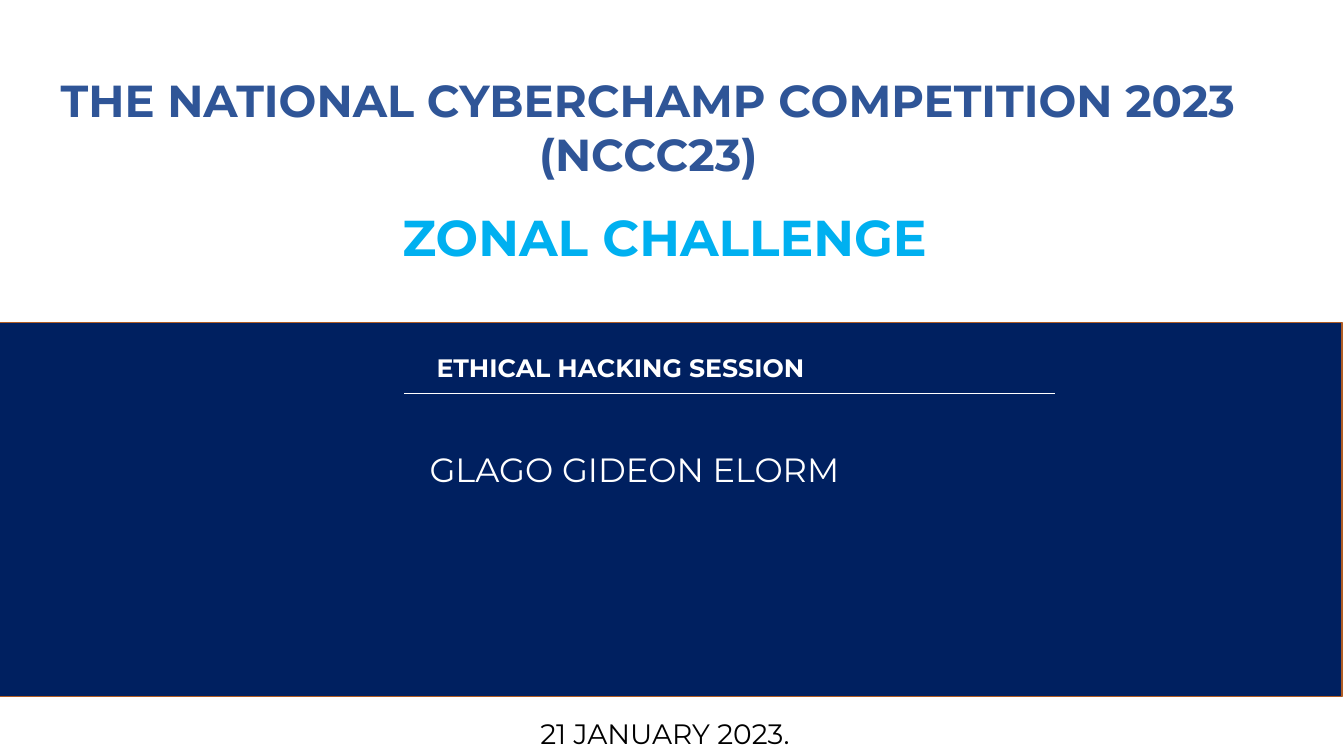
"""Build the title slide of a cyber competition's ethical hacking session."""
from dataclasses import dataclass

from lxml import etree
from pptx import Presentation
from pptx import util as u
from pptx.dml.color import RGBColor
from pptx.enum import shapes, text
from pptx.oxml.ns import qn

WIDTH, HEIGHT = u.Inches(13.33), u.Inches(7.5)
FONT = "Montserrat"
NAVY, BLUE, SKY = "002060", "2F5597", "00B0F0"
WHITE, BLACK, RUST = "FFFFFF", "000000", "AF5C24"


@dataclass(frozen=True)
class Area:
    left: float
    top: float
    width: float
    height: float


@dataclass(frozen=True)
class Label:
    area: Area
    lines: tuple[str, ...]
    size: int
    color: str
    bold: bool = False
    centered: bool = False
    wrap: bool = True
    inset: float = 0.75


BAND = Area(-0.15, 42.67, 100, 49.47)
RULE = Area(30.08, 52, 48.38, 0)
LABELS = (
    Label(Area(29.18, 26.67, 63.38, 9.47), ("ZONAL CHALLENGE",), 36, SKY, bold=True),
    Label(Area(22.13, 58.67, 58.05, 6.67), ("GLAGO GIDEON ELORM",), 24, WHITE, inset=9.83),
    Label(Area(0.68, 8.93, 95.1, 15.73),
          ("THE NATIONAL CYBERCHAMP COMPETITION 2023", "(NCCC23)"),
          32, BLUE, bold=True, centered=True, wrap=False),
    Label(Area(39.45, 94.13, 23.25, 5.87), ("21 JANUARY 2023.",), 20, BLACK, wrap=False),
    Label(Area(31.73, 46, 50.1, 5.33), ("ETHICAL HACKING SESSION",), 18, WHITE, bold=True),
)


def across(share: float) -> int:
    return round(WIDTH * share / 100)


def down(share: float) -> int:
    return round(HEIGHT * share / 100)


def frame_of(area: Area) -> tuple[int, int, int, int]:
    return across(area.left), down(area.top), across(area.width), down(area.height)


def paint(target, color: str) -> None:
    target.rgb = RGBColor.from_string(color)


def add_band(page, area: Area) -> None:
    band = page.shapes.add_shape(shapes.MSO_SHAPE.RECTANGLE, *frame_of(area))
    band.shadow.inherit = False
    band.fill.solid()
    paint(band.fill.fore_color, NAVY)
    paint(band.line.color, RUST)
    band.line.width = u.Pt(1)


def add_rule(page, area: Area) -> None:
    left, top, width, height = frame_of(area)
    rule = page.shapes.add_connector(
        shapes.MSO_CONNECTOR.STRAIGHT, left, top, left + width, top + height)
    paint(rule.line.color, WHITE)
    rule.line.width = u.Pt(0.75)
    etree.SubElement(rule._element.spPr, qn("a:effectLst"))


def add_label(page, label: Label) -> None:
    box = page.shapes.add_textbox(*frame_of(label.area))
    frame = box.text_frame
    frame.word_wrap = label.wrap
    frame.auto_size = text.MSO_AUTO_SIZE.SHAPE_TO_FIT_TEXT
    frame.margin_left = across(label.inset)
    for index, line in enumerate(label.lines):
        para = frame.add_paragraph() if index else frame.paragraphs[0]
        para.alignment = text.PP_ALIGN.CENTER if label.centered else text.PP_ALIGN.LEFT
        span = para.add_run()
        span.text = line
        span.font.name = FONT
        span.font.size = u.Pt(label.size)
        span.font.bold = label.bold
        paint(span.font.color, label.color)


def main() -> None:
    deck = Presentation()
    deck.slide_width, deck.slide_height = WIDTH, HEIGHT
    page = deck.slides.add_slide(deck.slide_layouts[6])
    add_band(page, BAND)
    add_rule(page, RULE)
    for label in LABELS:
        add_label(page, label)
    deck.save("out.pptx")


if __name__ == "__main__":
    main()
